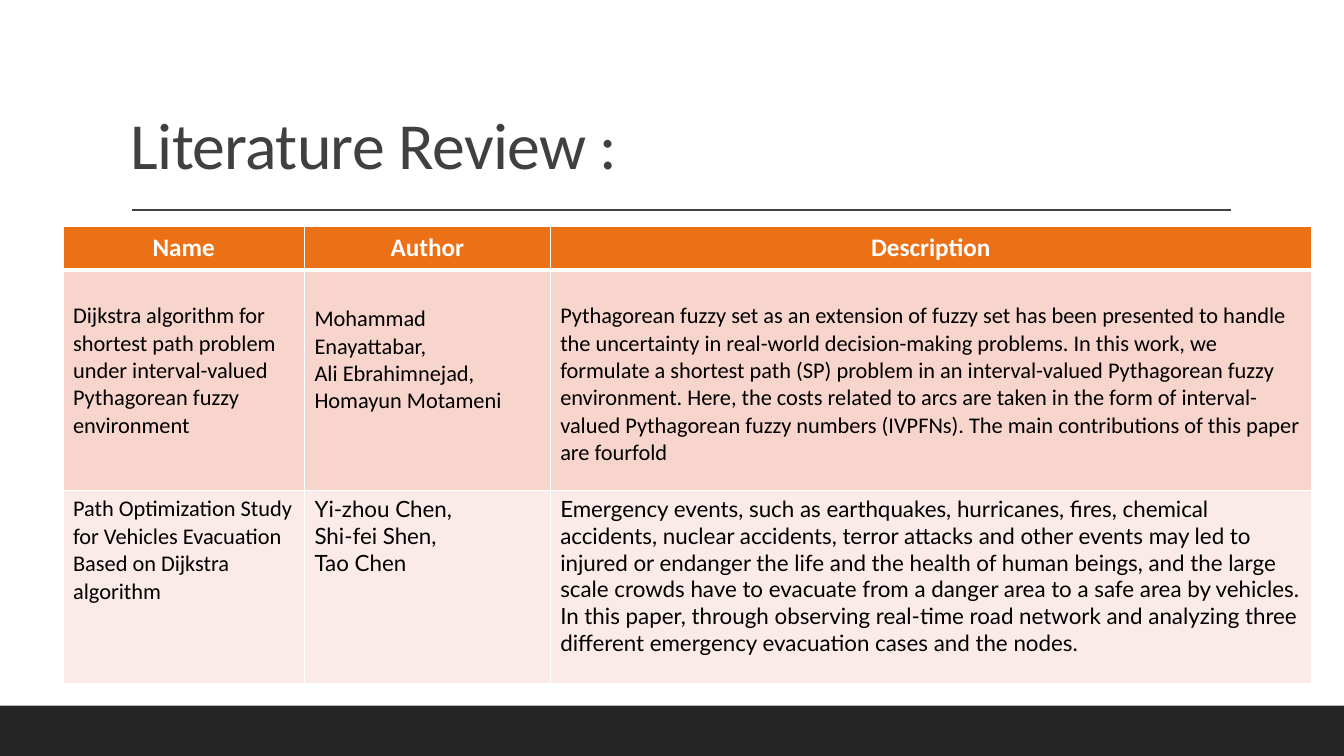
"""Build the literature review slide with its table of papers."""
from lxml.etree import SubElement
from pptx import Presentation
from pptx.dml.color import RGBColor
from pptx.enum.shapes import MSO_CONNECTOR, MSO_SHAPE
from pptx.enum.text import MSO_ANCHOR, PP_ALIGN
from pptx.oxml import parse_xml
from pptx.oxml.ns import nsdecls, qn
from pptx.util import Emu, Pt

PX = 9525
COLUMN_WIDTHS = [230, 234, 725]
ROW_HEIGHTS = [41, 210, 184]
ROW_FILLS = ["EC7016", "F8D5CC", "FBEBE8"]
ROW_FONTS = [["Calibri"] * 3, ["Calibri"] * 3, ["Calibri", "Lato", "Lato"]]
TOP_MARGINS = [[5, 5, 5], [31, 34, 31], [5, 5, 5]]
ROWS = [
    [["Name"], ["Author"], ["Description"]],
    [
        ["Dijkstra algorithm for shortest path problem under interval-valued "
         "Pythagorean fuzzy environment"],
        ["Mohammad Enayattabar,", "Ali Ebrahimnejad, Homayun Motameni"],
        ["Pythagorean fuzzy set as an extension of fuzzy set has been presented to "
         "handle the uncertainty in real-world decision-making problems. In this work, "
         "we formulate a shortest path (SP) problem in an interval-valued Pythagorean "
         "fuzzy environment. Here, the costs related to arcs are taken in the form of "
         "interval-valued Pythagorean fuzzy numbers (IVPFNs). The main contributions of "
         "this paper are fourfold"],
    ],
    [
        ["Path Optimization Study for Vehicles Evacuation Based on Dijkstra algorithm"],
        ["Yi-zhou Chen,", "Shi-fei Shen,", "Tao Chen"],
        ["Emergency events, such as earthquakes, hurricanes, fires, chemical accidents, "
         "nuclear accidents, terror attacks and other events may led to injured or "
         "endanger the life and the health of human beings, and the large scale crowds "
         "have to evacuate from a danger area to a safe area by vehicles. In this paper, "
         "through observing real-time road network and analyzing three different "
         "emergency evacuation cases and the nodes."],
    ],
]


def color(value):
    return RGBColor.from_string(value)


def add_run(paragraph, text, font_name, size, font_color, bold=False):
    run = paragraph.add_run()
    run.text = text
    run.font.name = font_name
    run.font.size = Pt(size)
    run.font.bold = bold
    run.font.color.rgb = color(font_color)
    return run


presentation = Presentation()
presentation.slide_width = Emu(1280 * PX)
presentation.slide_height = Emu(720 * PX)
slide = presentation.slides.add_slide(presentation.slide_layouts[6])
slide.background.fill.solid()
slide.background.fill.fore_color.rgb = color("FFFFFF")

footer = slide.shapes.add_shape(MSO_SHAPE.RECTANGLE, 0, 672 * PX, 1280 * PX, 48 * PX)
footer.shadow.inherit = False
footer.fill.solid()
footer.fill.fore_color.rgb = color("262626")
footer.line.fill.background()

rule = slide.shapes.add_connector(
    MSO_CONNECTOR.STRAIGHT, 126 * PX, 200 * PX, 1172 * PX, 200 * PX)
rule.line.color.rgb = color("404040")
rule.line.width = Pt(1)
SubElement(rule._element.spPr, qn("a:effectLst"))

title = slide.shapes.add_textbox(115 * PX, 30 * PX, 1056 * PX, 150 * PX)
title.text_frame.word_wrap = True
title.text_frame.vertical_anchor = MSO_ANCHOR.BOTTOM
title_paragraph = title.text_frame.paragraphs[0]
title_paragraph.line_spacing = 0.9
title_run = add_run(title_paragraph, "Literature Review :", "Calibri", 47, "404040")
title_run.font._element.set("spc", "-50")

table = slide.shapes.add_table(
    len(ROWS), len(COLUMN_WIDTHS), 60 * PX, 216 * PX,
    sum(COLUMN_WIDTHS) * PX, sum(ROW_HEIGHTS) * PX).table
for column, width in zip(table.columns, COLUMN_WIDTHS):
    column.width = Emu(width * PX)
for row, height in zip(table.rows, ROW_HEIGHTS):
    row.height = Emu(height * PX)

for row_index, row_texts in enumerate(ROWS):
    is_header = row_index == 0
    for column_index, lines in enumerate(row_texts):
        cell = table.cell(row_index, column_index)
        cell.margin_top = Emu(TOP_MARGINS[row_index][column_index] * PX)
        cell.fill.solid()
        cell.fill.fore_color.rgb = color(ROW_FILLS[row_index])
        for line_index, text in enumerate(lines):
            frame = cell.text_frame
            paragraph = frame.add_paragraph() if line_index else frame.paragraphs[0]
            paragraph.alignment = PP_ALIGN.CENTER if is_header else PP_ALIGN.LEFT
            add_run(paragraph, text, ROW_FONTS[row_index][column_index],
                    18 if is_header else 16, "FFFFFF" if is_header else "000000", is_header)
        below_header = {(0, "B"), (1, "T")}
        for position, side in enumerate("LRTB"):
            width = Pt(3 if (row_index, side) in below_header else 1)
            border = parse_xml(
                f'<a:ln{side} {nsdecls("a")} w="{width}"><a:solidFill>'
                f'<a:srgbClr val="FFFFFF"/></a:solidFill></a:ln{side}>')
            cell._tc.get_or_add_tcPr().insert(position, border)

presentation.save("out.pptx")
